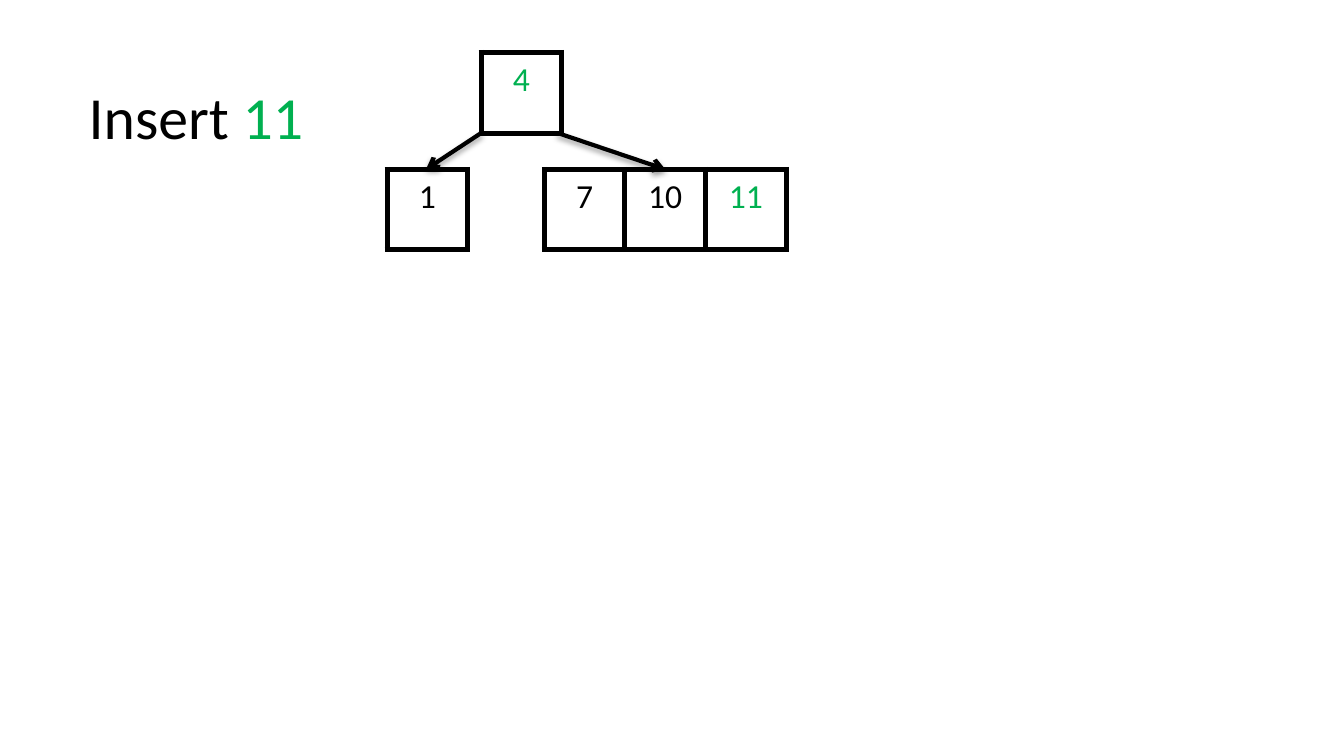
import pptx
import pptx.dml.color
import pptx.enum.shapes
import pptx.enum.text
import pptx.oxml
import pptx.oxml.ns
import pptx.util
from pptx.util import Inches

COLORS = {"ink": "000000", "inserted": "00B050"}
FONT = "Calibri"
SLIDE_WIDTH = 10
CELL = 0.6

# Content: heading runs, tree nodes (left, top, keys) and child arrows
HEADING = [("Insert ", "ink"), ("11", "inserted")]
LEFT_CHILD = (2.88, 1.26, [("1", "ink")])
ROOT = (3.58, 0.39, [("4", "inserted")])
RIGHT_CHILD = (4.05, 1.26, [("7", "ink"), ("10", "ink"), ("11", "inserted")])
ARROWS = [((3.58, 0.99), (3.17, 1.26)), ((4.15, 0.99), (4.95, 1.26))]


def rgb(name):
    return pptx.dml.color.RGBColor.from_string(COLORS[name])


def xml(markup):
    return pptx.oxml.parse_xml(
        markup.replace(" ", f" {pptx.oxml.ns.nsdecls('a')} ", 1))


def style(font, size, color):
    font.name, font.size = FONT, pptx.util.Pt(size)
    font.color.rgb = rgb(color)


def add_node(slide, left, top, keys):
    frame = slide.shapes.add_table(
        1, len(keys), Inches(left), Inches(top),
        Inches(CELL * len(keys)), Inches(CELL))
    node = frame.table
    node.first_row = node.horz_banding = False
    for column, (key, color) in enumerate(keys):
        cell = node.cell(0, column)
        cell.text = key
        cell.fill.background()
        paragraph = cell.text_frame.paragraphs[0]
        paragraph.alignment = pptx.enum.text.PP_ALIGN.CENTER
        style(paragraph.font, 18, color)
        # Borders come before the fill in the cell properties
        for position, side in enumerate("LRTB"):
            cell._tc.get_or_add_tcPr().insert(position, xml(
                f'<a:ln{side} w="{pptx.util.Pt(3)}"><a:solidFill>'
                f'<a:srgbClr val="{COLORS["ink"]}"/></a:solidFill></a:ln{side}>'))


def add_arrow(slide, start, end):
    arrow = slide.shapes.add_connector(
        pptx.enum.shapes.MSO_CONNECTOR.STRAIGHT,
        *map(Inches, start + end))
    arrow.line.color.rgb = rgb("ink")
    arrow.line.width = pptx.util.Pt(2.25)
    arrow.line._get_or_add_ln().append(xml('<a:tailEnd type="arrow"/>'))
    arrow._element.spPr.append(xml(
        f'<a:effectLst ><a:outerShdw blurRad="{pptx.util.Pt(3.1)}" '
        f'dist="{pptx.util.Pt(1.6)}" dir="5400000" rotWithShape="0">'
        f'<a:srgbClr val="{COLORS["ink"]}"><a:alpha val="38000"/></a:srgbClr>'
        '</a:outerShdw></a:effectLst>'))


def main():
    deck = pptx.Presentation()
    # Widescreen, 16:9
    deck.slide_width = Inches(SLIDE_WIDTH)
    deck.slide_height = Inches(SLIDE_WIDTH * 9 / 16)
    slide = deck.slides.add_slide(deck.slide_layouts[5])

    # Heading
    heading = slide.shapes.title
    heading.left, heading.top = Inches(0.56), Inches(0.54)
    heading.width, heading.height = Inches(2.1), Inches(0.64)
    heading.text_frame.vertical_anchor = pptx.enum.text.MSO_ANCHOR.TOP
    paragraph = heading.text_frame.paragraphs[0]
    paragraph.alignment = pptx.enum.text.PP_ALIGN.LEFT
    for text, color in HEADING:
        run = paragraph.add_run()
        run.text = text
        style(run.font, 32, color)

    # Tree, with the right child drawn over the arrow tips
    add_node(slide, *LEFT_CHILD)
    add_node(slide, *ROOT)
    for start, end in ARROWS:
        add_arrow(slide, start, end)
    add_node(slide, *RIGHT_CHILD)

    deck.save("out.pptx")


if __name__ == "__main__":
    main()
